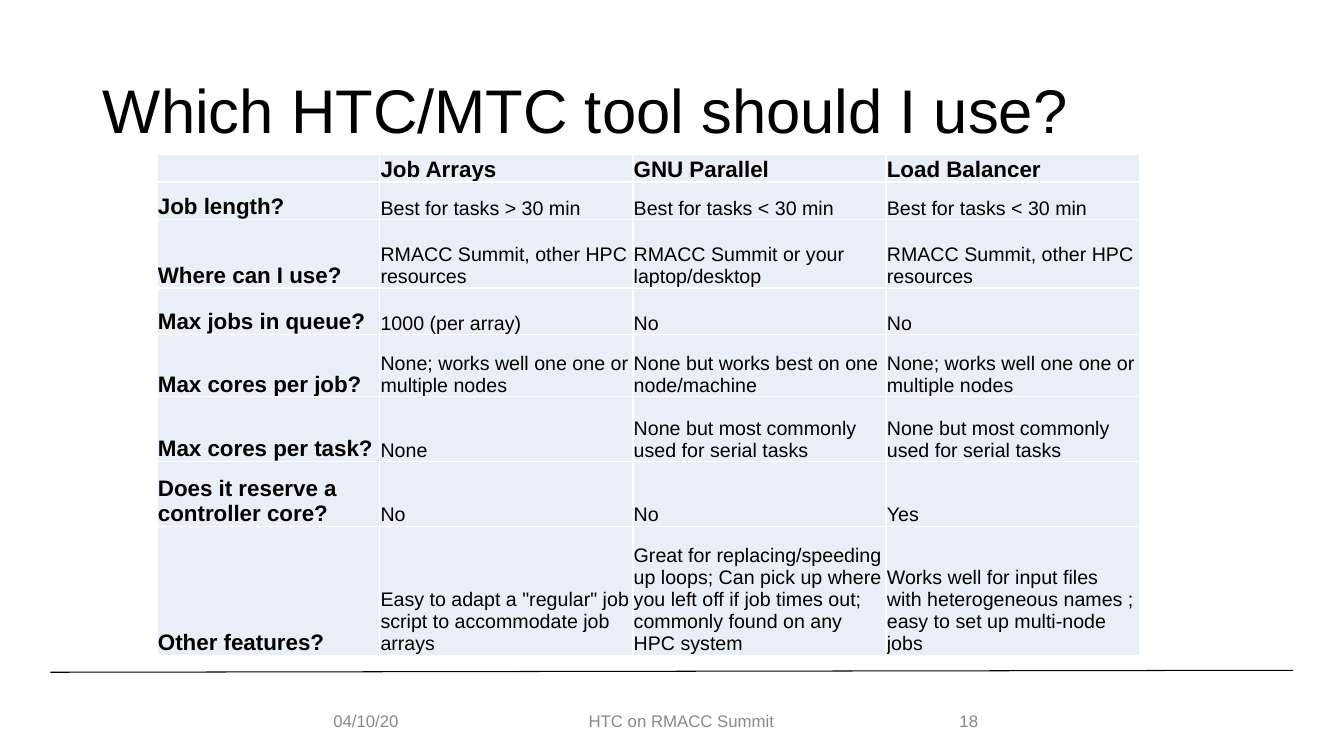
"""Build the slide comparing HTC/MTC tools in a table."""
from lxml.etree import SubElement
from pptx import Presentation
from pptx.dml.color import RGBColor
from pptx.enum.shapes import MSO_CONNECTOR as Connector
from pptx.enum.text import MSO_ANCHOR as Anchor, MSO_AUTO_SIZE as AutoSize, PP_ALIGN as Align
from pptx.oxml.ns import qn
from pptx.util import Cm, Pt

TITLE = "Which HTC/MTC tool should I use?"
COMPARISON = [
    ("", "Job Arrays", "GNU Parallel", "Load Balancer"),
    ("Job length?", "Best for tasks > 30 min", "Best for tasks < 30 min", "Best for tasks < 30 min"),
    ("Where can I use?", "RMACC Summit, other HPC resources",
     "RMACC Summit or your laptop/desktop", "RMACC Summit, other HPC resources"),
    ("Max jobs in queue?", "1000 (per array)", "No", "No"),
    ("Max cores per job?", "None; works well one one or multiple nodes",
     "None but works best on one node/machine", "None; works well one one or multiple nodes"),
    ("Max cores per task?", "None", "None but most commonly used for serial tasks",
     "None but most commonly used for serial tasks"),
    ("Does it reserve a controller core?", "No", "No", "Yes"),
    ("Other features?", 'Easy to adapt a "regular" job script to accommodate job arrays',
     "Great for replacing/speeding up loops; Can pick up where you left off if job times out; "
     "commonly found on any HPC system",
     "Works well for input files with heterogeneous names ; easy to set up multi-node jobs"),
]
FOOTER = [
    ("04/10/20", 8.15, 2.26, Align.LEFT),
    ("HTC on RMACC Summit", 11.46, 11.43, Align.CENTER),
    ("18", 23.93, 1.9, Align.LEFT),
]
COLUMN_WIDTHS = (5.61, 6.38, 6.38, 6.38)
ROW_HEIGHTS = (0.64, 0.94, 1.73, 1.17, 1.57, 1.63, 1.63, 3.25)
COLORS = {"text": "000000", "footer": "888888", "cell": "E9EFF7", "border": "FFFFFF"}
HEADING_SIZE, ANSWER_SIZE = 16, 14


def color(name):
    """Return the named colour."""
    return RGBColor.from_string(COLORS[name])


def style(paragraph, size, ink="text", bold=False):
    """Set the font of a paragraph."""
    font = paragraph.font
    font.name, font.size, font.bold = "Arial", Pt(size), bold
    font.color.rgb = color(ink)


def add_borders(cell):
    """Draw thin borders around a cell."""
    properties = cell._tc.get_or_add_tcPr()
    for index, side in enumerate(("lnL", "lnR", "lnT", "lnB")):
        border = properties.makeelement(qn(f"a:{side}"), {"w": str(Pt(1))})
        fill = SubElement(border, qn("a:solidFill"))
        SubElement(fill, qn("a:srgbClr"), val=COLORS["border"])
        properties.insert(index, border)


def add_title(slide):
    """Place the slide title."""
    title = slide.shapes.title
    title.left, title.top, title.width, title.height = Cm(2.34), Cm(1.02), Cm(30.3), Cm(3.68)
    frame = title.text_frame
    frame.text = TITLE
    frame.auto_size = AutoSize.NONE
    frame.vertical_anchor = Anchor.MIDDLE
    heading = frame.paragraphs[0]
    heading.alignment, heading.line_spacing = Align.LEFT, 0.9
    style(heading, 44)


def add_comparison(slide):
    """Fill the comparison table."""
    table = slide.shapes.add_table(
        len(ROW_HEIGHTS), len(COLUMN_WIDTHS), Cm(3.96), Cm(3.89),
        Cm(sum(COLUMN_WIDTHS)), Cm(sum(ROW_HEIGHTS))).table
    for column, width in zip(table.columns, COLUMN_WIDTHS):
        column.width = Cm(width)
    for row, height in zip(table.rows, ROW_HEIGHTS):
        row.height = Cm(height)
    for r, entries in enumerate(COMPARISON):
        for c, entry in enumerate(entries):
            cell = table.cell(r, c)
            cell.margin_left = cell.margin_right = cell.margin_top = Cm(0.02)
            cell.margin_bottom = 0
            cell.vertical_anchor = Anchor.BOTTOM
            cell.fill.solid()
            cell.fill.fore_color.rgb = color("cell")
            add_borders(cell)
            is_heading = r == 0 or c == 0
            paragraph = cell.text_frame.paragraphs[0]
            if entry:
                paragraph.text = entry
            else:
                SubElement(paragraph._p, qn("a:endParaRPr"), sz=str(HEADING_SIZE * 100))
            style(paragraph, HEADING_SIZE if is_heading else ANSWER_SIZE, bold=is_heading)


def add_footer(slide):
    """Draw the rule and the footer texts."""
    rule = slide.shapes.add_connector(
        Connector.STRAIGHT, Cm(1.27), Cm(16.94), Cm(32.59), Cm(16.89))
    rule.line.color.rgb = color("text")
    rule.line.width = Pt(0.75)
    SubElement(rule._element.spPr, qn("a:effectLst"))
    for entry, left, width, alignment in FOOTER:
        frame = slide.shapes.add_textbox(Cm(left), Cm(17.65), Cm(width), Cm(1.02)).text_frame
        frame.word_wrap = True
        frame.vertical_anchor = Anchor.MIDDLE
        paragraph = frame.paragraphs[0]
        paragraph.text, paragraph.alignment = entry, alignment
        style(paragraph, 12, "footer")


def main():
    """Create and save the presentation."""
    deck = Presentation()
    deck.slide_width, deck.slide_height = Cm(33.87), Cm(19.05)
    slide = deck.slides.add_slide(deck.slide_layouts[5])
    add_title(slide)
    add_footer(slide)
    add_comparison(slide)
    deck.save("out.pptx")


if __name__ == "__main__":
    main()
